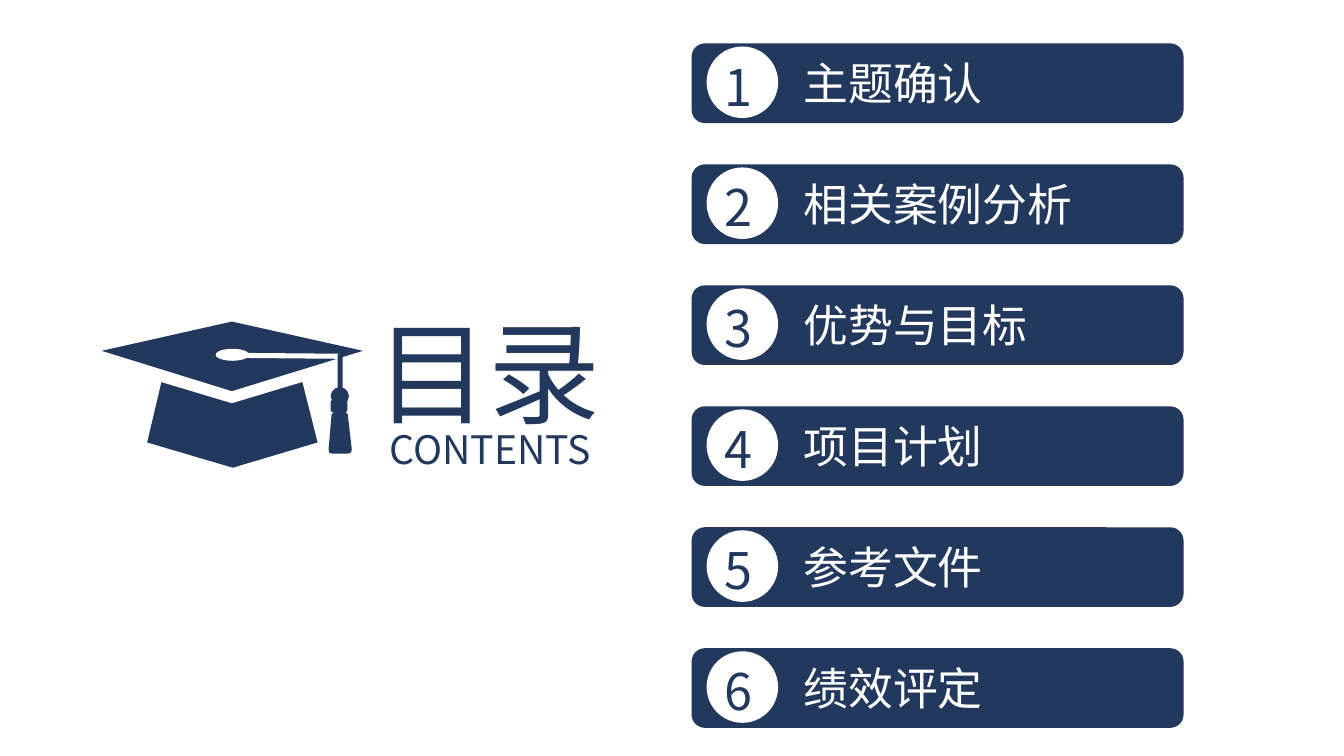
from pptx import Presentation
from pptx.dml.color import RGBColor
from pptx.enum.shapes import MSO_SHAPE
from pptx.enum.text import MSO_ANCHOR, MSO_AUTO_SIZE, PP_ALIGN
from pptx.oxml.ns import qn
from pptx.util import Pt

NAVY = RGBColor(0x22, 0x38, 0x5C)
WHITE = RGBColor(0xFF, 0xFF, 0xFF)
FONT = "Noto Sans CJK SC"

ENTRIES = ["主题确认", "相关案例分析", "优势与目标", "项目计划", "参考文件", "绩效评定"]
ENTRY_TOP = 31
ENTRY_PITCH = 86.4


def paint(shape, color):
    """Give a shape a plain fill, without line or shadow."""
    shape.fill.solid()
    shape.fill.fore_color.rgb = color
    shape.line.fill.background()
    shape.shadow.inherit = False


def write(shape, text, size, color):
    """Set one left-aligned line in the slide font, Chinese glyphs included."""
    frame = shape.text_frame
    frame.text = text
    frame.word_wrap = True
    frame.auto_size = MSO_AUTO_SIZE.NONE
    frame.vertical_anchor = MSO_ANCHOR.TOP
    paragraph = frame.paragraphs[0]
    paragraph.alignment = PP_ALIGN.LEFT
    font = paragraph.runs[0].font
    font.size = Pt(size)
    font.name = FONT
    font.color.rgb = color
    east_asian = font._element.makeelement(qn("a:ea"), {"typeface": FONT})
    font._element.find(qn("a:latin")).addnext(east_asian)


presentation = Presentation()
presentation.slide_width = Pt(960)
presentation.slide_height = Pt(540)
slide = presentation.slides.add_slide(presentation.slide_layouts[5])

# Heading
title = slide.shapes.title
title.left, title.top, title.width, title.height = Pt(262), Pt(213), Pt(187), Pt(104)
write(title, "目录", 80, NAVY)
subtitle = slide.shapes.add_textbox(Pt(271.4), Pt(300.2), Pt(169.2), Pt(41))
write(subtitle, "CONTENTS", 28, NAVY)

# Graduation cap, from back to front
cap_base = [(226.8, 316.1), (166.3, 334.1), (105.1, 316.1), (117.4, 264.2), (213.8, 264.2)]
board_gap = [(259.2, 250.6), (165.6, 229.7), (72, 250.6),
             (72, 259.9), (165.6, 288), (259.2, 259.9)]
board = [(165.6, 279.4), (72.7, 250.6), (165.6, 229.7), (259.2, 250.6)]
board_cord = [(163.4, 252), (241.9, 252.7), (243.4, 254.9),
              (241.2, 256.3), (163.4, 255.6), (162, 253.4)]
tassel = [(251.3, 321.1), (250.6, 323.3), (248.4, 324), (236.9, 324), (235.2, 323.3),
          (234.7, 321.1), (236.9, 295.9), (239, 293.8), (246.2, 293.8), (248.4, 295.9)]

cap = slide.shapes.add_group_shape()
for outline, color in [(cap_base, NAVY), (board_gap, WHITE), (board, NAVY),
                       (board_cord, WHITE), (tassel, NAVY)]:
    points = [(Pt(x), Pt(y)) for x, y in outline]
    builder = cap.shapes.build_freeform(*points[0])
    builder.add_line_segments(points[1:], close=True)
    paint(builder.convert_to_shape(), color)

for kind, left, top, width, height, color in [
    (MSO_SHAPE.ROUNDED_RECTANGLE, 241.2, 252.7, 3.6, 27.4, NAVY),
    (MSO_SHAPE.OVAL, 236.2, 276.5, 13, 13, NAVY),
    (MSO_SHAPE.ROUNDED_RECTANGLE, 236.2, 285.8, 11.9, 8.6, NAVY),
    (MSO_SHAPE.OVAL, 154.1, 249.1, 23.8, 8.6, WHITE),
]:
    part = cap.shapes.add_shape(kind, Pt(left), Pt(top), Pt(width), Pt(height))
    paint(part, color)

# Numbered entries
for index, entry in enumerate(ENTRIES):
    top = ENTRY_TOP + index * ENTRY_PITCH
    group = slide.shapes.add_group_shape()
    bar = group.shapes.add_shape(
        MSO_SHAPE.ROUNDED_RECTANGLE, Pt(494), Pt(top), Pt(351.4), Pt(56.9))
    paint(bar, NAVY)
    disc = group.shapes.add_shape(
        MSO_SHAPE.OVAL, Pt(504.7), Pt(top + 2.2), Pt(51.1), Pt(51.1))
    paint(disc, WHITE)
    number = group.shapes.add_textbox(Pt(510.5), Pt(top + 5.2), Pt(41.8), Pt(51.1))
    write(number, str(index + 1), 36, NAVY)
    label = group.shapes.add_textbox(Pt(566.8), Pt(top + 5.2), Pt(265.7), Pt(46.1))
    write(label, entry, 32, WHITE)

presentation.save("out.pptx")
